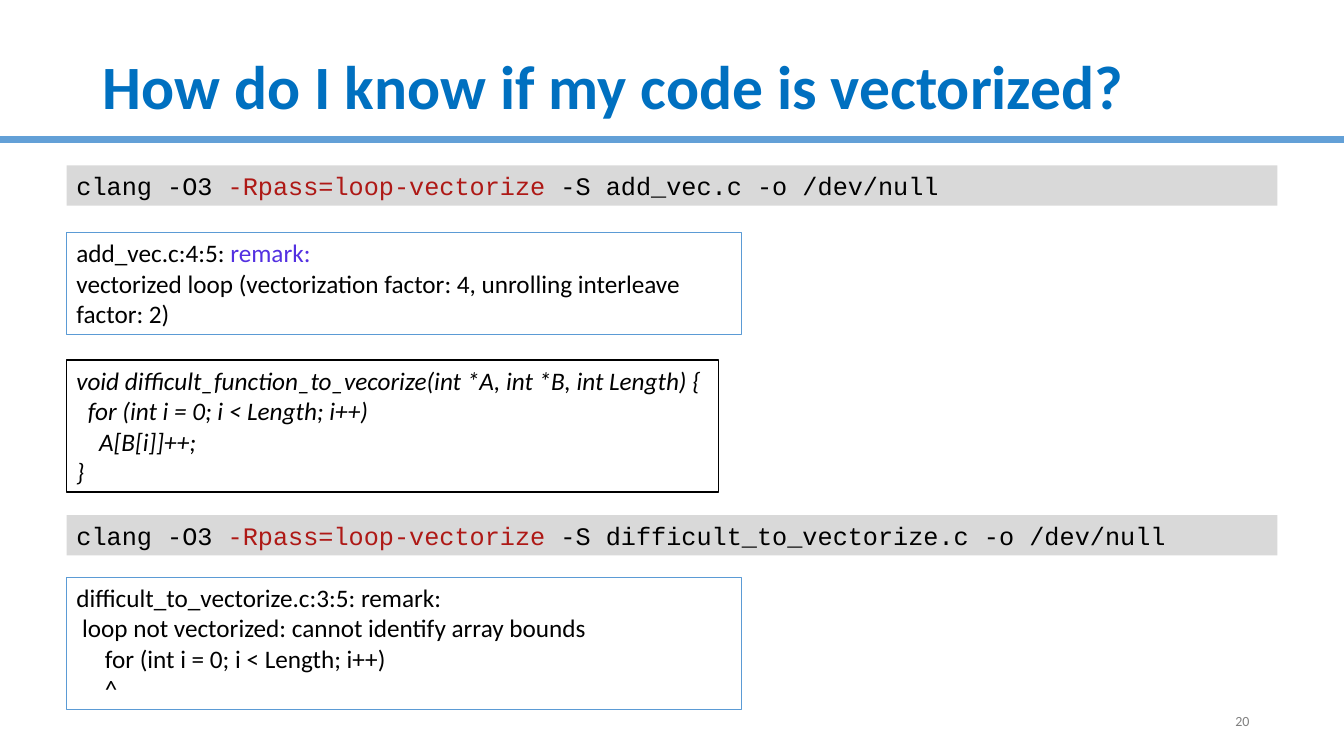
"""Build the slide on checking whether code is vectorized."""
from lxml import etree
from pptx import Presentation
from pptx.dml.color import RGBColor
from pptx.enum import shapes, text
from pptx.oxml import ns
from pptx.util import Inches, Pt

BLACK = RGBColor(0x00, 0x00, 0x00)
TITLE_BLUE = RGBColor(0x00, 0x70, 0xC0)
RULE_BLUE = RGBColor(0x63, 0xA0, 0xD7)
BORDER_BLUE = RGBColor(0x5B, 0x9B, 0xD5)
FLAG_RED = RGBColor(0xAE, 0x19, 0x16)
REMARK_VIOLET = RGBColor(0x53, 0x30, 0xE1)
BAND_GRAY = RGBColor(0xD9, 0xD9, 0xD9)
NUMBER_GRAY = RGBColor(0x80, 0x80, 0x80)

TITLE = "How do I know if my code is vectorized?"
PAGE_NUMBER = "20"
COMMANDS = [(1.64, "add_vec.c"), (5.11, "difficult_to_vectorize.c")]
REMARKS = [
    (2.31, 1.01, [
        [("add_vec.c:4:5: ", BLACK), ("remark: ", REMARK_VIOLET)],
        [("vectorized loop (vectorization factor: 4, unrolling interleave factor: 2)", BLACK)],
    ]),
    (5.73, 1.31, [
        [("difficult_to_vectorize.c:3:5: remark:", BLACK)],
        [(" loop not vectorized: cannot identify array bounds", BLACK)],
        [("     for (int i = 0; i < Length; i++)", BLACK)],
        [("     ^", BLACK)],
    ]),
]
FUNCTION = [
    "void difficult_function_to_vecorize(int *A, int *B, int Length) {",
    "  for (int i = 0; i < Length; i++)",
    "    A[B[i]]++;",
    "}",
]
LEFT = 0.66
RULE_Y = 1.38
SLIDE_WIDTH = 13.33


def write(frame, lines, size, face="Calibri", bold=None, italic=None, wrap=True,
          anchor=text.MSO_ANCHOR.TOP, align=text.PP_ALIGN.LEFT):
    frame.word_wrap = wrap
    frame.vertical_anchor = anchor
    for index, line in enumerate(lines):
        paragraph = frame.add_paragraph() if index else frame.paragraphs[0]
        paragraph.alignment = align
        font = paragraph.font
        font.size, font.name, font.bold, font.italic = Pt(size), face, bold, italic
        for words, color in line:
            run = paragraph.add_run()
            run.text = words
            run.font.color.rgb = color


def add_panel(slide, top, width, height, fill=None, border=None, weight=0.75):
    panel = slide.shapes.add_shape(shapes.MSO_SHAPE.RECTANGLE, Inches(LEFT), Inches(top),
                                   Inches(width), Inches(height))
    panel.shadow.inherit = False
    if fill is None:
        panel.fill.background()
    else:
        panel.fill.solid()
        panel.fill.fore_color.rgb = fill
    if border is None:
        panel.line.fill.background()
    else:
        panel.line.color.rgb = border
        panel.line.width = Pt(weight)
    return panel.text_frame


def add_label(slide, left, top, width, height):
    return slide.shapes.add_textbox(Inches(left), Inches(top),
                                    Inches(width), Inches(height)).text_frame


def main():
    deck = Presentation()
    deck.slide_width, deck.slide_height = Inches(SLIDE_WIDTH), Inches(7.5)
    slide = deck.slides.add_slide(deck.slide_layouts[6])

    rule = slide.shapes.add_connector(shapes.MSO_CONNECTOR.STRAIGHT, 0, Inches(RULE_Y),
                                      Inches(SLIDE_WIDTH), Inches(RULE_Y))
    rule.line.color.rgb = RULE_BLUE
    rule.line.width = Pt(5)
    etree.SubElement(rule._element.spPr, ns.qn("a:effectLst"))

    heading = add_label(slide, 0.92, 0.4, 11.5, 0.98)
    write(heading, [[(TITLE, TITLE_BLUE)]], 44, bold=True, anchor=text.MSO_ANCHOR.MIDDLE)
    heading.paragraphs[0].line_spacing = 0.9

    write(add_label(slide, 9.49, 6.95, 3, 0.4), [[(PAGE_NUMBER, NUMBER_GRAY)]], 10,
          anchor=text.MSO_ANCHOR.MIDDLE, align=text.PP_ALIGN.RIGHT)

    for top, source in COMMANDS:
        command = [("clang -O3 ", BLACK), ("-Rpass=loop-vectorize ", FLAG_RED),
                   (f"-S {source} -o /dev/null", BLACK)]
        write(add_panel(slide, top, 12.01, 0.4, fill=BAND_GRAY), [command], 18, "Courier New")

    for top, height, lines in REMARKS:
        write(add_panel(slide, top, 6.7, height, border=BORDER_BLUE), lines, 18)

    write(add_panel(slide, 3.57, 6.47, 1.31, border=BLACK, weight=1),
          [[(line, BLACK)] for line in FUNCTION], 18, italic=True, wrap=False,
          anchor=text.MSO_ANCHOR.MIDDLE)

    deck.save("out.pptx")


if __name__ == "__main__":
    main()
